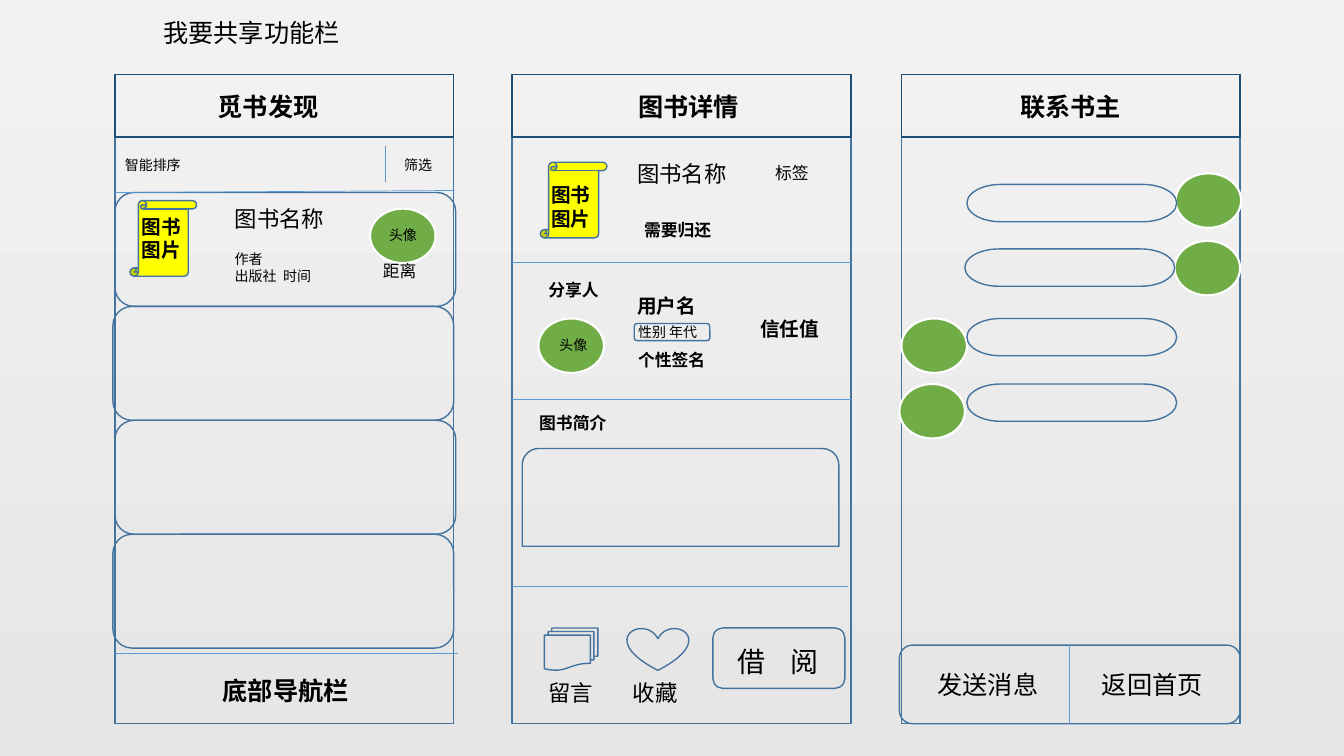
from lxml import etree
from pptx import Presentation
from pptx.dml.color import RGBColor
from pptx.enum import shapes, text
from pptx.oxml import ns
from pptx.util import Inches, Pt

SHAPE = shapes.MSO_SHAPE
OUTLINE, HEADER_LINE, DIVIDER = "43739E", "1F4E79", "5B9BD5"
GREEN, YELLOW, WHITE, BLACK = "70AD47", "FFFF00", "FFFFFF", "000000"

# Phone screens: left edge, heading, heading left
PHONE_TOP, PHONE_W, PHONE_H, HEADER_H = 0.74, 3.36, 6.44, 0.62
SCREENS = [
    (1.14, "觅书发现", 2.06),
    (5.08, "图书详情", 6.23),
    (8.94, "联系书主", 10.02),
]

# Book list cards: stacked, alternating left edges
CARD_LEFTS = [1.14, 1.12, 1.14, 1.12]
CARD_TOP, CARD_W, CARD_H = 1.91, 3.38, 1.13

# Divider lines: start and end
DIVIDERS = [
    (1.14, 1.91, 4.51, 1.89),
    (3.82, 1.45, 3.82, 1.81),
    (1.14, 6.48, 4.54, 6.48),
    (5.08, 2.6, 8.45, 2.6),
    (5.08, 3.96, 8.44, 3.96),
    (5.08, 5.82, 8.41, 5.82),
]

# Repeated pictograms: left, top
SCROLLS = [(1.29, 1.99), (5.36, 1.61)]
AVATARS = [(3.67, 2.07), (5.34, 3.16), (11.66, 1.72), (11.65, 2.39),
           (8.94, 3.16), (8.92, 3.81)]
BUBBLES = [(9.59, 1.83), (9.57, 2.47), (9.59, 3.16), (9.59, 3.81)]

# Book detail outlines: preset, left, top, width, height
DETAIL_OUTLINES = [
    (SHAPE.ROUNDED_RECTANGLE, 6.29, 3.21, 0.75, 0.17),
    (SHAPE.ROUND_2_SAME_RECTANGLE, 5.18, 4.45, 3.14, 0.97),
    (SHAPE.FLOWCHART_MULTIDOCUMENT, 5.4, 6.23, 0.53, 0.42),
    (SHAPE.HEART, 6.22, 6.23, 0.61, 0.42),
    (SHAPE.ROUNDED_RECTANGLE, 7.07, 6.23, 1.31, 0.6),
]
REPLY_BAR = (8.92, 6.4, 3.38, 0.78)

# Labels: wording, left, top, width, height, size, bold
LABELS = [
    ("我要共享功能栏", 1.52, 0.12, 1.95, 0.4, 18, False),
    ("智能排序", 1.14, 1.5, 0.82, 0.27, 10, False),
    ("筛选", 3.91, 1.5, 0.48, 0.27, 10, False),
    ("图书名称", 2.23, 1.99, 1.09, 0.37, 16, False),
    ("头像", 3.76, 2.2, 0.48, 0.27, 10, False),
    ("距离", 3.7, 2.54, 0.53, 0.3, 12, False),
    ("底部导航栏", 2.11, 6.65, 1.46, 0.4, 18, True),
    ("图书名称", 6.22, 1.54, 1.09, 0.37, 16, False),
    ("标签", 7.59, 1.57, 0.53, 0.3, 12, False),
    ("需要归还", 6.29, 2.13, 0.87, 0.3, 12, True),
    ("分享人", 5.34, 2.73, 0.7, 0.3, 12, True),
    ("头像", 5.45, 3.29, 0.48, 0.27, 10, False),
    ("用户名", 6.22, 2.87, 0.79, 0.34, 14, True),
    ("性别 年代", 6.23, 3.16, 0.79, 0.27, 10, False),
    ("个性签名", 6.23, 3.42, 0.87, 0.3, 12, True),
    ("信任值", 7.44, 3.09, 0.79, 0.34, 14, True),
    ("图书简介", 5.25, 4.05, 0.87, 0.3, 12, True),
    ("留言", 5.34, 6.69, 0.64, 0.37, 16, False),
    ("收藏", 6.18, 6.69, 0.64, 0.37, 16, False),
    ("发送消息", 9.2, 6.59, 1.2, 0.4, 18, False),
    ("返回首页", 10.83, 6.59, 1.2, 0.4, 18, False),
]
# Labels that wrap at their width
WRAPPED_LABELS = [
    ("图书图片", 1.31, 2.08, 0.65, 0.57, 14, True),
    ("图书图片", 5.37, 1.77, 0.65, 0.57, 14, True),
]
# Labels with a tab stop: label, stop
TABBED_LABELS = [
    (("作者\n出版社\t时间", 2.23, 2.44, 1.1, 0.44, 10, False), 0.48),
    (("借\t阅", 7.22, 6.34, 1.1, 0.44, 20, False), 0.52),
]


def color(hex_value):
    return RGBColor.from_string(hex_value)


def add_box(slide, preset, left, top, width, height,
            fill=None, line=OUTLINE, weight=1):
    box = slide.shapes.add_shape(
        preset, Inches(left), Inches(top), Inches(width), Inches(height))
    box.shadow.inherit = False
    if fill:
        box.fill.solid()
        box.fill.fore_color.rgb = color(fill)
    else:
        box.fill.background()
    box.line.color.rgb = color(line)
    box.line.width = Pt(weight)
    return box


def add_divider(slide, x1, y1, x2, y2):
    divider = slide.shapes.add_connector(
        shapes.MSO_CONNECTOR.STRAIGHT,
        Inches(x1), Inches(y1), Inches(x2), Inches(y2))
    divider.line.color.rgb = color(DIVIDER)
    divider.line.width = Pt(0.5)
    etree.SubElement(divider._element.spPr, ns.qn("a:effectLst"))
    return divider


def add_label(slide, wording, left, top, width, height, size, bold,
              wrap=False, tab=None):
    label = slide.shapes.add_textbox(
        Inches(left), Inches(top), Inches(width), Inches(height))
    frame = label.text_frame
    frame.word_wrap = wrap
    frame.auto_size = text.MSO_AUTO_SIZE.SHAPE_TO_FIT_TEXT
    for i, line in enumerate(wording.split("\n")):
        paragraph = frame.add_paragraph() if i else frame.paragraphs[0]
        if tab:
            stops = etree.SubElement(
                paragraph._p.get_or_add_pPr(), ns.qn("a:tabLst"))
            etree.SubElement(stops, ns.qn("a:tab"),
                             pos=str(Inches(tab)), algn="l")
        run = paragraph.add_run()
        run.text = line
        run.font.name = "Calibri"
        run.font.size = Pt(size)
        run.font.bold = bold
        run.font.color.rgb = color(BLACK)


def main():
    deck = Presentation()
    deck.slide_width, deck.slide_height = Inches(13.33), Inches(7.5)
    slide = deck.slides.add_slide(deck.slide_layouts[6])

    # Background gradient, top to bottom
    backdrop = slide.background.fill
    backdrop.gradient()
    backdrop.gradient_angle = 270
    for stop, shade in zip(backdrop.gradient_stops, ("F2F2F2", "E7E6E6")):
        stop.color.rgb = color(shade)

    # Phone frames and headings
    for left, heading, heading_left in SCREENS:
        add_box(slide, SHAPE.RECTANGLE, left, PHONE_TOP, PHONE_W, PHONE_H)
        add_box(slide, SHAPE.RECTANGLE, left, PHONE_TOP, PHONE_W, HEADER_H,
                line=HEADER_LINE)
        add_label(slide, heading, heading_left, 0.86, 1.21, 0.4, 18, True)

    # Cards, dividers and outlines
    for row, left in enumerate(CARD_LEFTS):
        add_box(slide, SHAPE.ROUNDED_RECTANGLE,
                left, CARD_TOP + row * CARD_H, CARD_W, CARD_H)
    for ends in DIVIDERS:
        add_divider(slide, *ends)
    for outline in DETAIL_OUTLINES:
        add_box(slide, *outline)

    # Book covers, avatars and chat bubbles
    for left, top in SCROLLS:
        add_box(slide, SHAPE.VERTICAL_SCROLL, left, top, 0.66, 0.75, YELLOW)
    for left, top in AVATARS:
        add_box(slide, SHAPE.OVAL, left, top, 0.65, 0.54, GREEN, WHITE, 1.5)
    for left, top in BUBBLES:
        add_box(slide, SHAPE.FLOWCHART_TERMINATOR, left, top, 2.08, 0.37)

    # Reply bar, split in the middle
    reply_bar = add_box(slide, SHAPE.ROUNDED_RECTANGLE, *REPLY_BAR)
    left, top, width, height = REPLY_BAR
    middle = left + width / 2
    split = add_divider(slide, middle, top, middle, top + height)
    split.begin_connect(reply_bar, 0)
    split.end_connect(reply_bar, 2)

    # Labels
    for label in LABELS:
        add_label(slide, *label)
    for label in WRAPPED_LABELS:
        add_label(slide, *label, wrap=True)
    for label, tab in TABBED_LABELS:
        add_label(slide, *label, wrap=True, tab=tab)

    deck.save("out.pptx")


if __name__ == "__main__":
    main()
